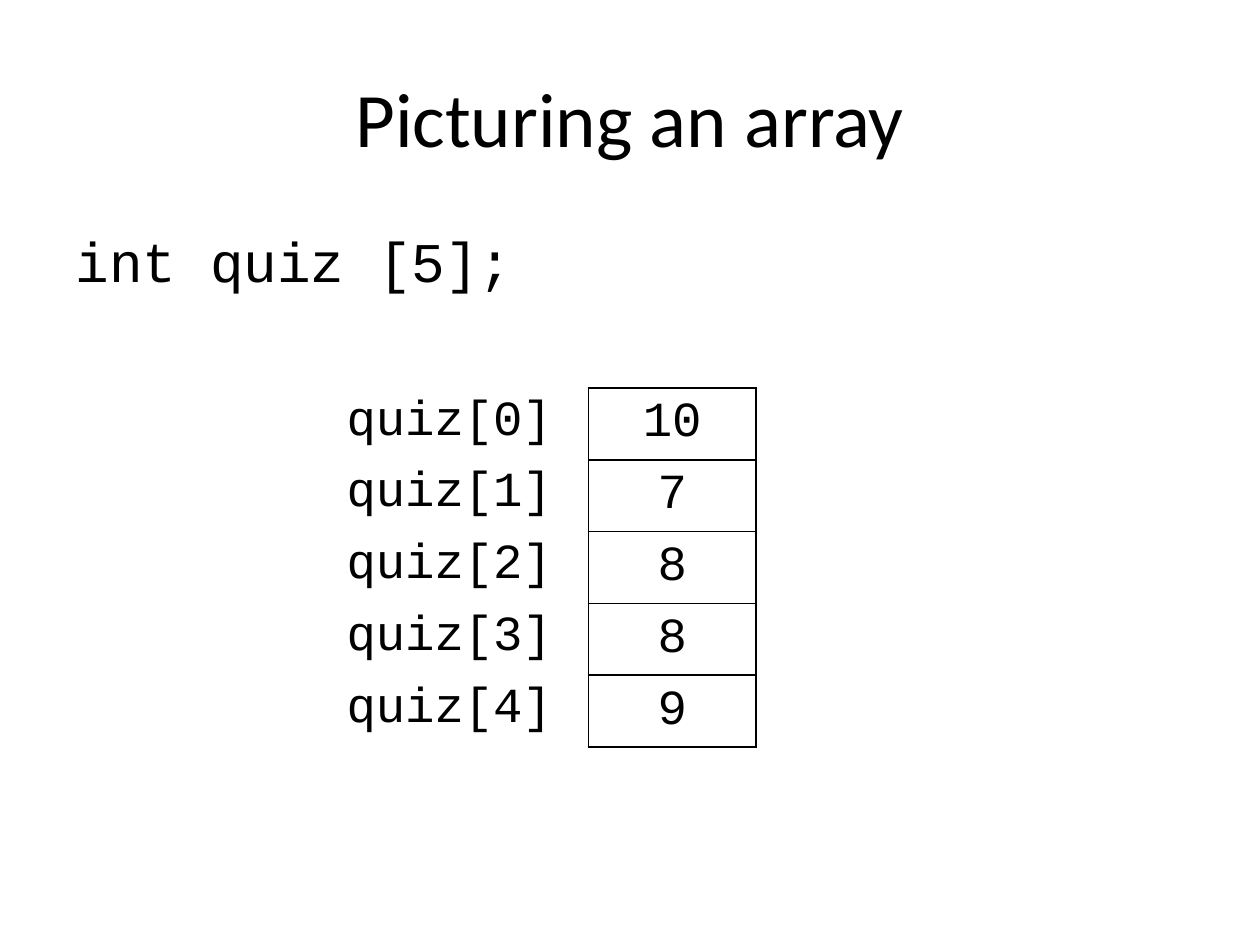
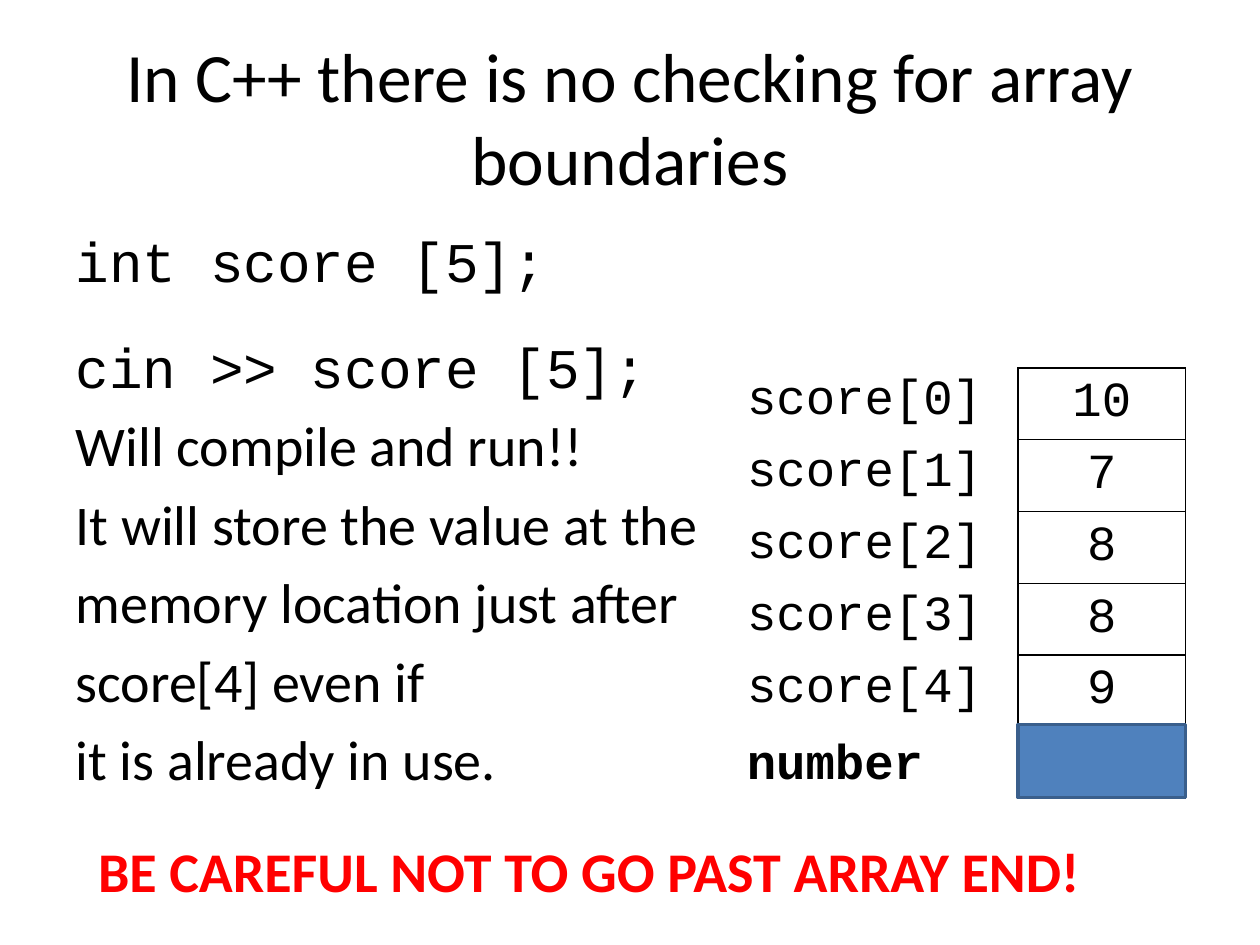
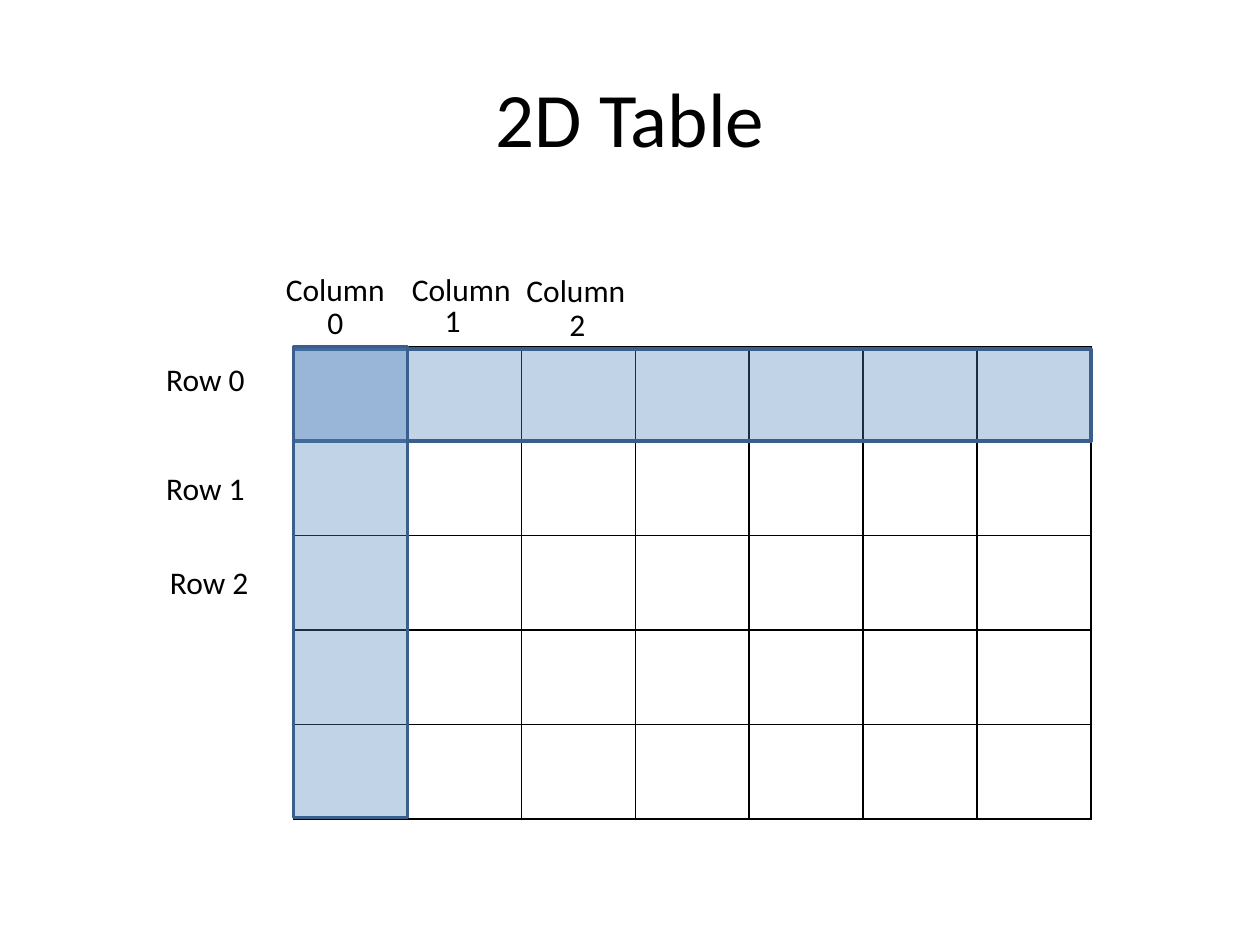
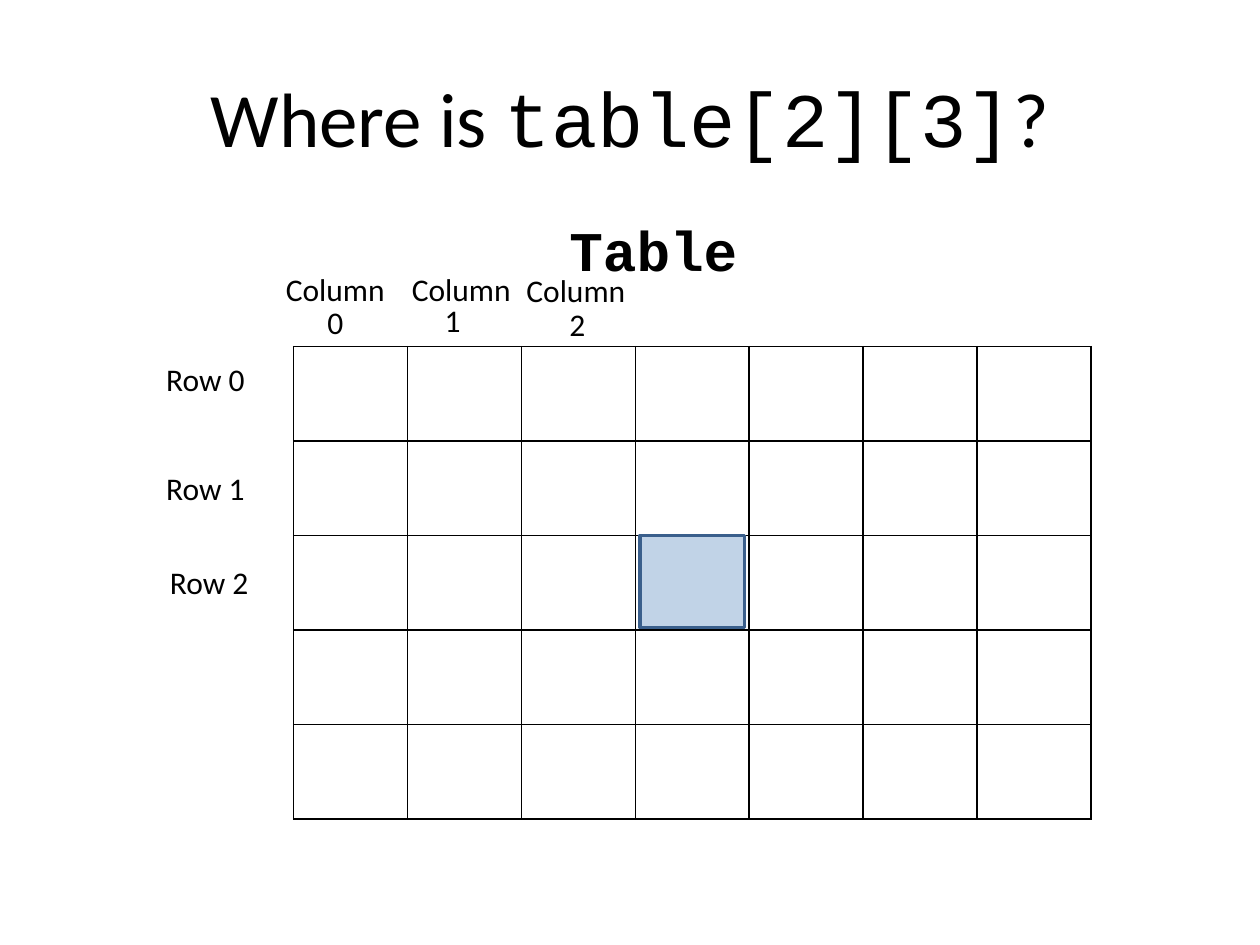
from dataclasses import dataclass

from lxml import etree
from pptx import Presentation
from pptx.dml.color import RGBColor
from pptx.enum.shapes import MSO_SHAPE
from pptx.enum.text import MSO_ANCHOR as Anchor, MSO_AUTO_SIZE as AutoSize, PP_ALIGN as Align
from pptx.oxml.ns import qn
from pptx.util import Inches, Pt


@dataclass(frozen=True)
class Theme:
    ink: str = "000000"
    alert: str = "FF0000"
    accent: str = "4F81BD"
    outline: str = "3A5F8C"
    plain: str = "Calibri"
    code: str = "Courier New"
    title: float = 44
    long_title: float = 39.6
    body: float = 32
    cell: float = 28
    label: float = 18
    border: float = 1
    highlight: float = 2


THEME = Theme()
TITLE_AREA = (0.5, 0.3, 9, 1.25)
BODY_AREA = (0.5, 1.75, 9, 4.95)
TITLE_AND_BODY, TITLE_ONLY = 1, 5
NO_TABLE_STYLE = "{2D5ABB26-0587-4C30-8999-92F81FD0307C}"
ARRAY_COLUMNS = (2.25, 1.33)
ARRAY_ROW = 0.57
SCORES = ("10", "7", "8", "8", "9")
GRID_AREA = (2.33, 2.75, 6.33, 3.75)
GRID_ROWS, GRID_COLUMNS = 5, 7
GRID_LABELS = (
    ("Column", 2.17, 2.09, 1.17), ("0", 2.5, 2.36, 0.5),
    ("Column", 3.17, 2.09, 1.17), ("1", 3.43, 2.34, 0.5),
    ("Column", 4.08, 2.1, 1.17), ("2", 4.42, 2.37, 0.5),
    ("Row 0", 1.22, 2.81, 0.92), ("Row 1", 1.22, 3.67, 0.92),
    ("Row 2", 1.25, 4.42, 0.92),
)


def apply(target, values):
    for name, value in values.items():
        setattr(target, name, value)


def inches(area):
    return [Inches(length) for length in area]


def add_span(para, text, size, font=THEME.plain, color=THEME.ink, bold=False):
    span = para.add_run()
    span.text = text
    apply(span.font, {"size": Pt(size), "name": font, "bold": bold})
    span.font.color.rgb = RGBColor.from_string(color)


def place(shape, area):
    apply(shape, dict(zip(("left", "top", "width", "height"), inches(area))))


def add_page(deck, layout, title, size=THEME.title):
    page = deck.slides.add_slide(deck.slide_layouts[layout])
    box = page.shapes.title
    place(box, TITLE_AREA)
    apply(box.text_frame, {"auto_size": AutoSize.NONE, "vertical_anchor": Anchor.MIDDLE})
    para = box.text_frame.paragraphs[0]
    para.alignment = Align.CENTER
    for text, font in title:
        add_span(para, text, size, font)
    return page


def fill_body(page, lines):
    box = page.placeholders[1]
    place(box, BODY_AREA)
    frame = box.text_frame
    frame.auto_size = AutoSize.NONE
    for index, (text, font, gap) in enumerate(lines):
        para = frame.add_paragraph() if index else frame.paragraphs[0]
        if gap:
            para.space_before = Pt(gap)
        etree.SubElement(para._p.get_or_add_pPr(), qn("a:buNone"))
        add_span(para, text, THEME.body, font)


def add_label(page, text, area, size=THEME.label, **style):
    box = page.shapes.add_textbox(*inches(area))
    apply(box.text_frame, {"word_wrap": True, "auto_size": AutoSize.SHAPE_TO_FIT_TEXT})
    add_span(box.text_frame.paragraphs[0], text, size, **style)


def add_highlight(page, area, opacity=100):
    box = page.shapes.add_shape(MSO_SHAPE.RECTANGLE, *inches(area))
    box.shadow.inherit = False
    box.fill.solid()
    box.fill.fore_color.rgb = RGBColor.from_string(THEME.accent)
    box.line.color.rgb = RGBColor.from_string(THEME.outline)
    box.line.width = Pt(THEME.highlight)
    if opacity < 100:
        color = box.fill._xPr.find(qn("a:solidFill"))[0]
        etree.SubElement(color, qn("a:alpha"), val=str(opacity * 1000))


def draw_borders(cell, sides="LRTB"):
    properties = cell._tc.get_or_add_tcPr()
    for side in sides:
        line = etree.SubElement(properties, qn(f"a:ln{side}"), w=str(Pt(THEME.border)))
        fill = etree.SubElement(line, qn("a:solidFill"))
        etree.SubElement(fill, qn("a:srgbClr"), val=THEME.ink)
    cell.fill.background()


def add_plain_table(page, rows, columns, area):
    table = page.shapes.add_table(rows, columns, *inches(area)).table
    apply(table, {"first_row": False, "horz_banding": False})
    table._tbl.tblPr.find(qn("a:tableStyleId")).text = NO_TABLE_STYLE
    return table


def add_array(page, name, left, top, indent=0.1, spare_rows=0):
    rows = len(SCORES) + spare_rows
    area = (left, top, sum(ARRAY_COLUMNS), rows * ARRAY_ROW)
    table = add_plain_table(page, rows, len(ARRAY_COLUMNS), area)
    for column, width in zip(table.columns, ARRAY_COLUMNS):
        column.width = Inches(width)
    for row in range(rows):
        label, value = table.cell(row, 0), table.cell(row, 1)
        draw_borders(label, "R")
        draw_borders(value)
        if row < len(SCORES):
            label.margin_left = Inches(indent)
            value.vertical_anchor = Anchor.MIDDLE
            add_span(label.text_frame.paragraphs[0], f"{name}[{row}]", THEME.cell, THEME.code)
            para = value.text_frame.paragraphs[0]
            para.alignment = Align.CENTER
            add_span(para, SCORES[row], THEME.cell, THEME.code)


def add_grid(page):
    table = add_plain_table(page, GRID_ROWS, GRID_COLUMNS, GRID_AREA)
    for cell in table.iter_cells():
        draw_borders(cell)
    for text, left, top, width in GRID_LABELS:
        add_label(page, text, (left, top, width, 0.4))


def picture_array(deck):
    page = add_page(deck, TITLE_AND_BODY, [("Picturing an array", THEME.plain)])
    fill_body(page, [("int quiz [5];", THEME.code, None)])
    add_array(page, "quiz", 2.42, 3.08, indent=0.33)


def warn_about_boundaries(deck):
    title = [("In C++ there is no checking for array boundaries", THEME.plain)]
    page = add_page(deck, TITLE_AND_BODY, title, THEME.long_title)
    remarks = ("Will compile and run!!", "It will store the value at the",
               "memory location just after", "score[4] even if", "it is already in use.")
    fill_body(page, [
        ("int score [5];", THEME.code, None),
        ("cin >> score [5];", THEME.code, 22),
        *((remark, THEME.plain, None) for remark in remarks),
    ])
    add_array(page, "score", 5.83, 2.92, spare_rows=1)
    add_label(page, "number", (5.83, 5.75, 2, 0.57), THEME.cell, font=THEME.code, bold=True)
    add_highlight(page, (8.08, 5.75, 1.33, 0.58))
    add_label(page, "BE CAREFUL NOT TO GO PAST ARRAY END!", (0.68, 6.59, 8.75, 0.64),
              THEME.body, color=THEME.alert, bold=True)


def show_table(deck):
    page = add_page(deck, TITLE_ONLY, [("2D Table", THEME.plain)])
    add_grid(page)
    left, top, width, height = GRID_AREA
    add_highlight(page, (left, top + 0.02, width, 0.73), 35)
    add_highlight(page, (left, top, width / GRID_COLUMNS, height - 0.01), 35)


def locate_cell(deck):
    title = [("Where is ", THEME.plain), ("table[2][3]", THEME.code), ("?", THEME.plain)]
    page = add_page(deck, TITLE_ONLY, title)
    add_grid(page)
    add_highlight(page, (5.08, 4.25, 0.83, 0.73), 35)
    add_label(page, "Table", (4.42, 1.66, 1.71, 0.64), THEME.body, font=THEME.code, bold=True)


def main():
    deck = Presentation()
    apply(deck, {"slide_width": Inches(10), "slide_height": Inches(7.5)})
    for build in (picture_array, warn_about_boundaries, show_table, locate_cell):
        build(deck)
    deck.save("out.pptx")


main()
